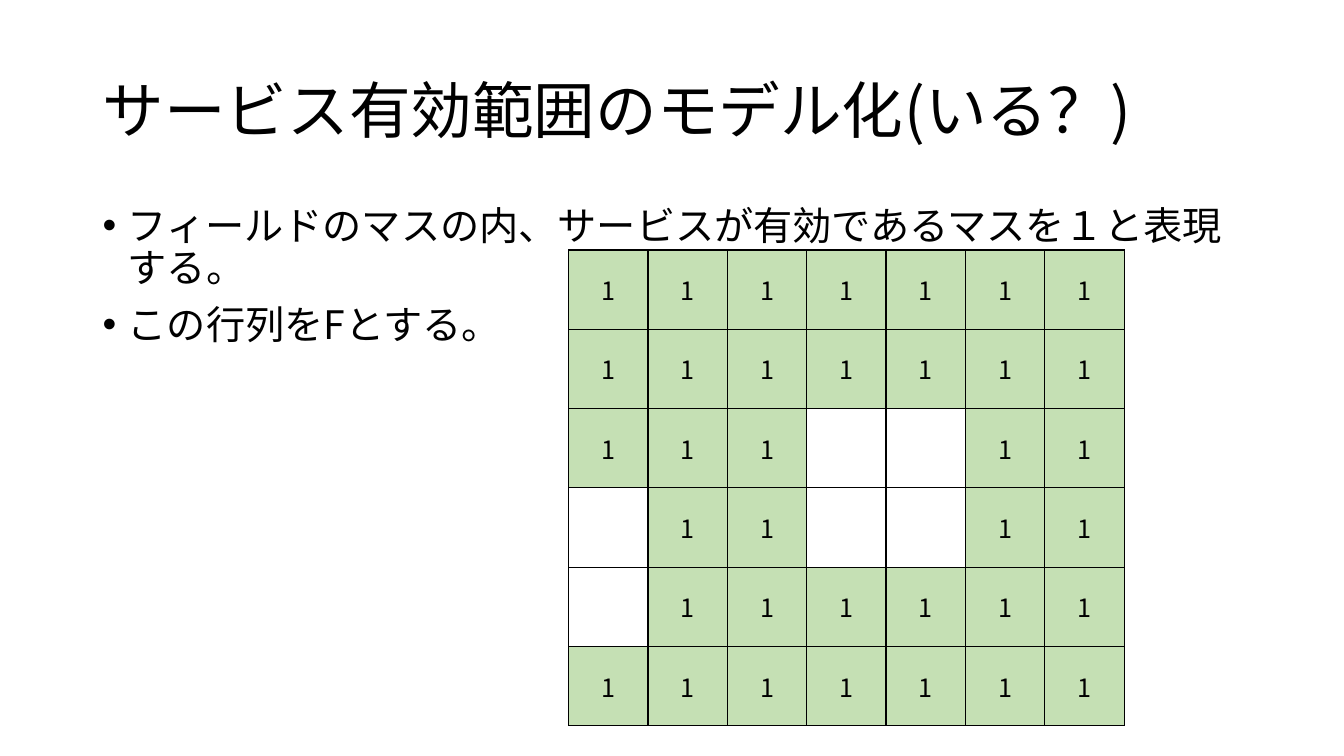
from lxml.etree import SubElement
from pptx import Presentation
from pptx.dml.color import RGBColor
from pptx.enum.text import MSO_ANCHOR as Anchor, PP_ALIGN as Align
from pptx.oxml.ns import qn
from pptx.util import Inches, Pt

BLACK = RGBColor(0x00, 0x00, 0x00)
WHITE = RGBColor(0xFF, 0xFF, 0xFF)
GREEN = RGBColor(0xC5, 0xE0, 0xB4)
FONT = "Noto Sans CJK JP"

TITLE = "サービス有効範囲のモデル化(いる？)"
BULLETS = [
    "フィールドのマスの内、サービスが有効であるマスを１と表現する。",
    "この行列をFとする。",
]
SERVICE_FIELD = [
    "1111111",
    "1111111",
    "111  11",
    " 11  11",
    " 111111",
    "1111111",
]


def add_run(paragraph, text, size):
    run = paragraph.add_run()
    run.text = text
    run.font.size = Pt(size)
    run.font.name = FONT
    run.font.color.rgb = BLACK
    SubElement(run.font._element, qn("a:ea"), typeface=FONT)


def add_text_frame(slide, left, top, width, height, anchor):
    box = slide.shapes.add_textbox(
        Inches(left), Inches(top), Inches(width), Inches(height))
    frame = box.text_frame
    frame.word_wrap = True
    frame.vertical_anchor = anchor
    return frame


def add_title(slide, left, top, width, height):
    frame = add_text_frame(slide, left, top, width, height, Anchor.MIDDLE)
    paragraph = frame.paragraphs[0]
    paragraph.line_spacing = 0.9
    add_run(paragraph, TITLE, 44)


def add_bullets(slide, left, top, width, height):
    frame = add_text_frame(slide, left, top, width, height, Anchor.TOP)
    for index, text in enumerate(BULLETS):
        paragraph = frame.add_paragraph() if index else frame.paragraphs[0]
        paragraph.line_spacing = 0.9
        paragraph.space_before = Pt(10)
        properties = paragraph._p.get_or_add_pPr()
        properties.set("marL", str(Inches(0.25)))
        properties.set("indent", str(Inches(-0.25)))
        SubElement(properties, qn("a:buFont"), typeface="Arial")
        SubElement(properties, qn("a:buChar"), char="•")
        add_run(paragraph, text, 28)


def add_borders(cell):
    properties = cell._tc.get_or_add_tcPr()
    for side in ("lnL", "lnR", "lnT", "lnB"):
        line = SubElement(properties, qn(f"a:{side}"), w=str(Pt(1)))
        fill = SubElement(line, qn("a:solidFill"))
        SubElement(fill, qn("a:srgbClr"), val=str(BLACK))


def fill_cell(cell, value):
    active = value == "1"
    add_borders(cell)
    cell.fill.solid()
    cell.fill.fore_color.rgb = GREEN if active else WHITE
    cell.vertical_anchor = Anchor.MIDDLE
    if active:
        paragraph = cell.text_frame.paragraphs[0]
        paragraph.alignment = Align.CENTER
        add_run(paragraph, value, 18)


def add_service_field(slide, left, top, width, height):
    rows, columns = len(SERVICE_FIELD), len(SERVICE_FIELD[0])
    table = slide.shapes.add_table(
        rows, columns, Inches(left), Inches(top),
        Inches(width), Inches(height)).table
    table.first_row = False
    table.horz_banding = False
    for row, values in enumerate(SERVICE_FIELD):
        for column, value in enumerate(values):
            fill_cell(table.cell(row, column), value)


def main():
    presentation = Presentation()
    presentation.slide_width = Inches(13.33)
    presentation.slide_height = Inches(7.5)
    slide = presentation.slides.add_slide(presentation.slide_layouts[6])
    add_title(slide, 0.92, 0.4, 11.5, 1.45)
    add_bullets(slide, 0.92, 2, 11.5, 4.76)
    add_service_field(slide, 5.64, 2.48, 5.51, 4.72)
    presentation.save("out.pptx")


if __name__ == "__main__":
    main()
